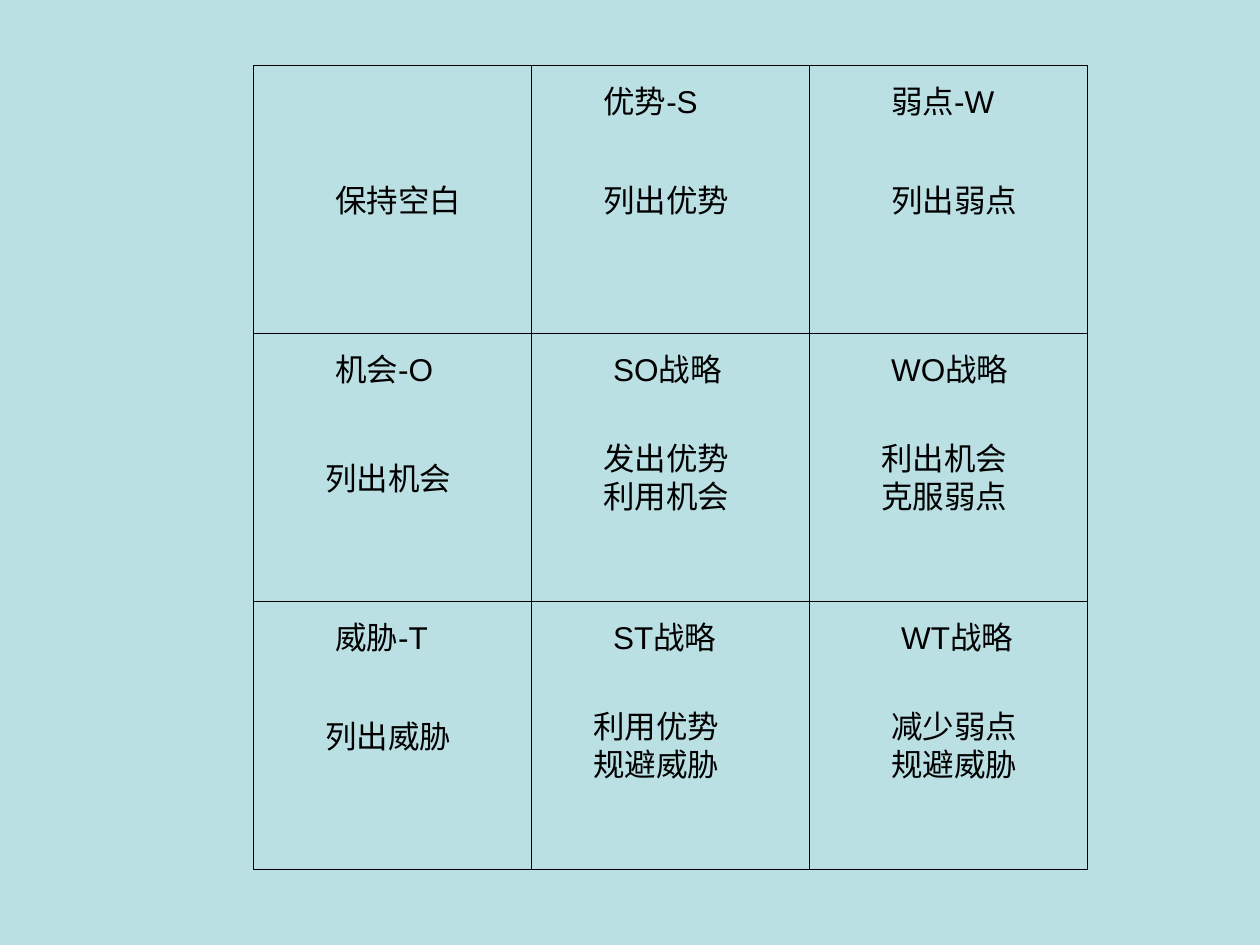
from pptx import Presentation
from pptx.dml.color import RGBColor
from pptx.enum.shapes import MSO_SHAPE
from pptx.enum.text import MSO_AUTO_SIZE
from pptx.util import Inches, Pt

PALE = RGBColor(0xBB, 0xE0, 0xE3)
BLACK = RGBColor(0, 0, 0)
LATIN, HAN = "Arial", "Noto Sans CJK SC"

CELLS = [
    [
        [(7, 11, 16, ["保持空白"])],
        [(6, 1, 15, ["优势-S"]), (6, 11, 16, ["列出优势"])],
        [(7, 1, 15, [("弱点", "-W")]), (7, 11, 16, ["列出弱点"])],
    ],
    [
        [(7, 1, 15, [("机会", "-O")]), (6, 12, 16, ["列出机会"])],
        [(7, 1, 15, ["SO战略"]), (6, 10, 16, ["发出优势", "利用机会"])],
        [(7, 1, 15, ["WO战略"]), (6, 10, 16, ["利出机会", "克服弱点"])],
    ],
    [
        [(7, 1, 15, [("威胁", "-T")]), (6, 11, 16, ["列出威胁"])],
        [(7, 1, 15, ["ST战略"]), (5, 10, 16, ["利用优势", "规避威胁"])],
        [(8, 1, 15, ["WT战略"]), (7, 10, 16, ["减少弱点", "规避威胁"])],
    ],
]
COLS, ROWS = 28, 27
LEFT, TOP = Inches(2.01), Inches(0.52)
UNIT = Inches(6.62) / (3 * COLS)
FRAME = {"word_wrap": True, "auto_size": MSO_AUTO_SIZE.SHAPE_TO_FIT_TEXT}


def place(x, y, w, h):
    return [round(v) for v in (LEFT + x * UNIT, TOP + y * UNIT, w * UNIT, h * UNIT)]


def set_all(item, values):
    for key, value in values.items():
        setattr(item, key, value)


def add_run(para, text, face):
    run = para.add_run()
    run.text = text
    set_all(run.font, {"size": Pt(18), "name": face})
    run.font.color.rgb = BLACK


def add_cell(slide, x, y):
    box = slide.shapes.add_shape(MSO_SHAPE.RECTANGLE, *place(x, y, COLS, ROWS))
    box.shadow.inherit = False
    box.fill.solid()
    box.fill.fore_color.rgb = PALE
    box.line.color.rgb = BLACK
    box.line.width = Pt(0.75)


def add_text(slide, x, y, width, lines):
    height = 1 + 4 * len(lines)
    frame = slide.shapes.add_textbox(*place(x, y, width, height)).text_frame
    set_all(frame, FRAME)
    for i, line in enumerate(lines):
        para = frame.add_paragraph() if i else frame.paragraphs[0]
        if isinstance(line, tuple):
            for text, face in zip(line, (HAN, LATIN)):
                add_run(para, text, face)
        else:
            add_run(para, line, LATIN)


def main():
    deck = Presentation()
    set_all(deck, {"slide_width": Inches(10), "slide_height": Inches(7.5)})
    slide = deck.slides.add_slide(deck.slide_layouts[6])
    slide.background.fill.solid()
    slide.background.fill.fore_color.rgb = PALE
    for r, row in enumerate(CELLS):
        for c, texts in enumerate(row):
            x, y = c * COLS, r * ROWS
            add_cell(slide, x, y)
            for dx, dy, width, lines in texts:
                add_text(slide, x + dx, y + dy, width, lines)
    deck.save("out.pptx")


if __name__ == "__main__":
    main()
